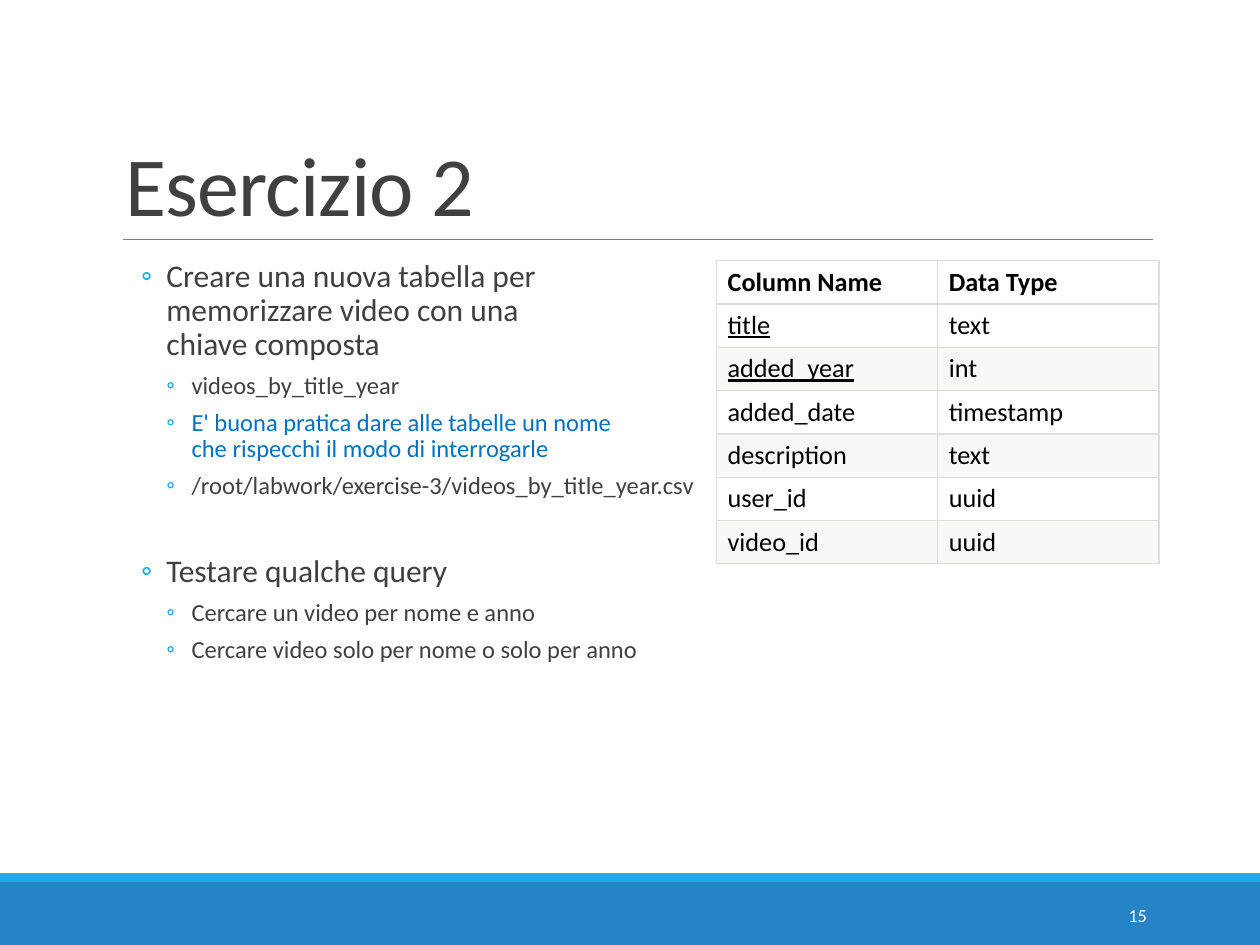
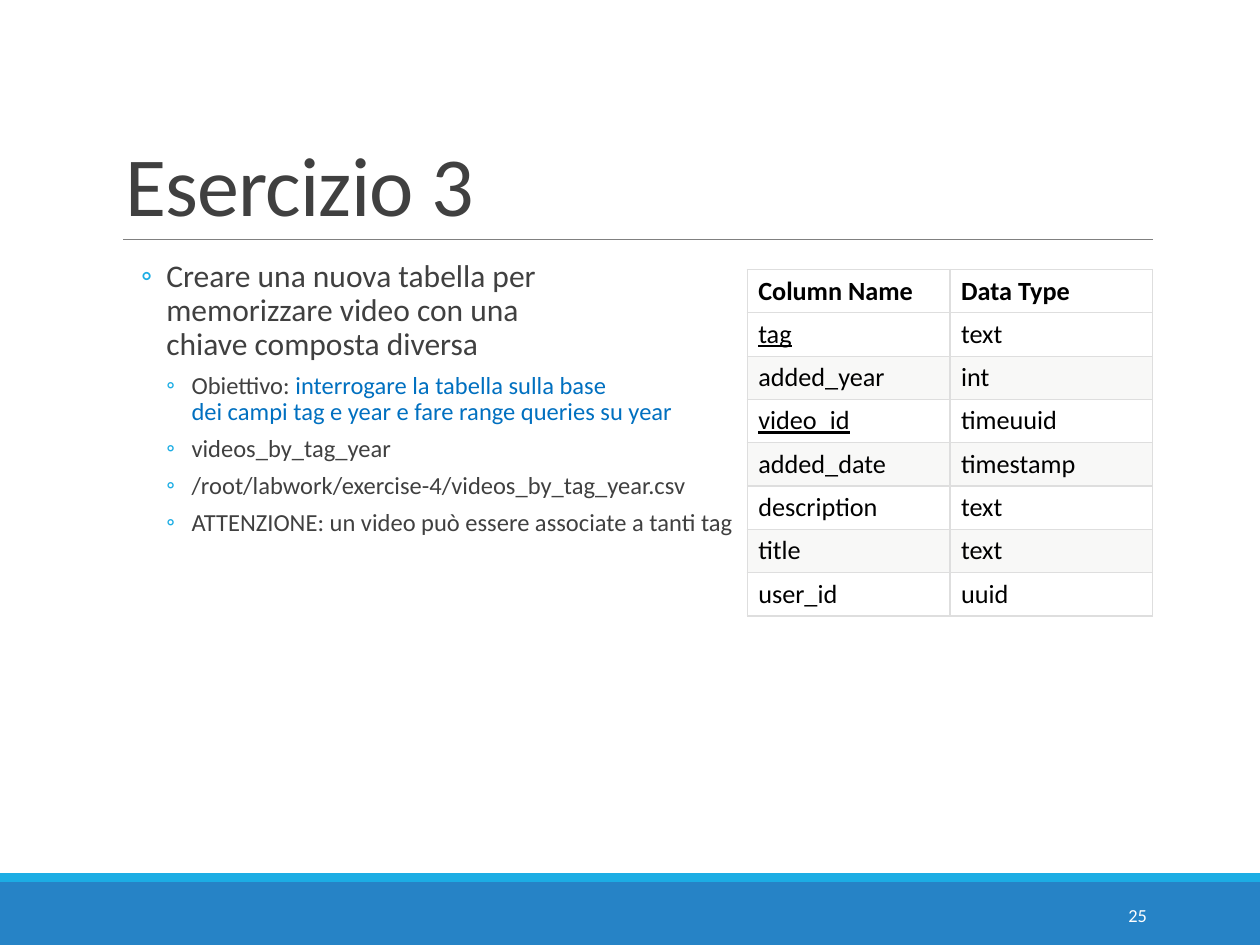
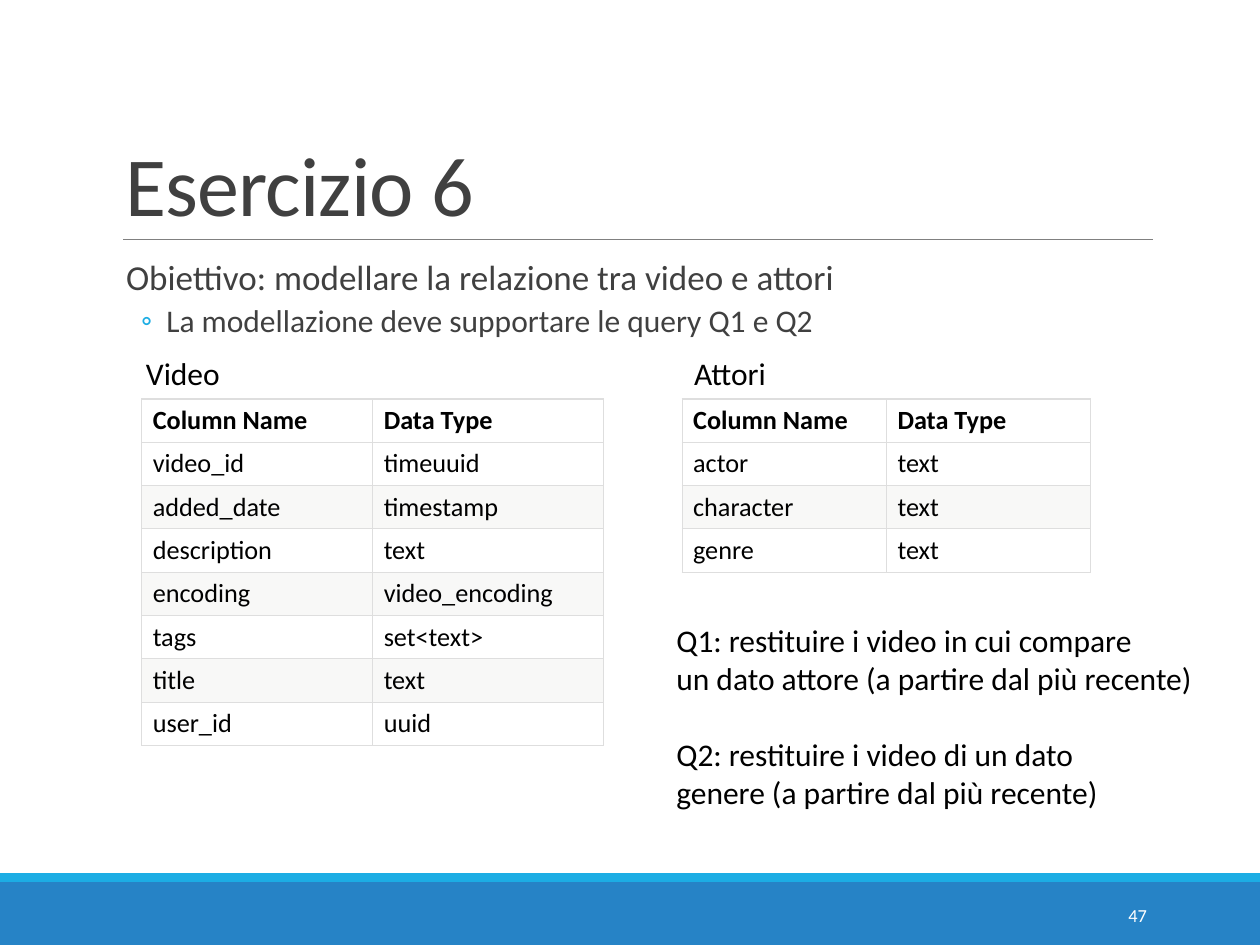
from dataclasses import dataclass
from typing import Any

from lxml import etree
from pptx import Presentation
from pptx.dml.color import RGBColor
from pptx.enum import shapes, text
from pptx.oxml import ns
from pptx.util import Pt

COLORS = {
    "band": "2683C6",
    "accent": "1CADE4",
    "rule": "808080",
    "heading": "404040",
    "highlight": "0070C0",
    "ink": "000000",
    "white": "FFFFFF",
    "stripe": "F8F8F7",
    "border": "DEDEDE",
}
FONT = "Calibri"
ROW_HEIGHT = 24.75
HEADER = ("Column Name", "Data Type")


@dataclass(frozen=True)
class Frame:
    left: float
    top: float
    width: float
    height: float

    def lengths(self) -> tuple:
        return Pt(self.left), Pt(self.top), Pt(self.width), Pt(self.height)


@dataclass(frozen=True)
class Style:
    size: float
    color: str = "ink"
    line_spacing: float = 1.0
    before: float = 0
    after: float = 0
    margin: float = 0
    hanging: float = 0
    align: Any = text.PP_ALIGN.LEFT
    tracking: int = 0


@dataclass(frozen=True)
class Span:
    text: str
    color: str = ""


@dataclass(frozen=True)
class Para:
    style: Style
    spans: tuple[Span, ...]
    before: float | None = None


@dataclass(frozen=True)
class Schema:
    left: float
    top: float
    width: float
    rows: tuple[tuple[str, str], ...]
    keys: tuple[str, ...] = ()


@dataclass(frozen=True)
class Label:
    frame: Frame
    paras: tuple[Para, ...]


@dataclass(frozen=True)
class Exercise:
    title: str
    number: int
    body: tuple[Para, ...]
    schemas: tuple[Schema, ...]
    labels: tuple[Label, ...] = ()


TITLE = Style(48, "heading", 0.85, tracking=-50)
GOAL = Style(20, "heading", 0.9, 12, 2, 7.2)
TASK = Style(18, "heading", 0.9, 2, 4, 30.25, 14.4)
DETAIL = Style(14, "heading", 0.9, 2, 4, 44.65, 14.4)
CAPTION = Style(18)
PAGE_NUMBER = Style(10.5, "white", align=text.PP_ALIGN.RIGHT)

TITLE_FRAME = Frame(64.8, 22.3, 594, 114.5)
BODY_FRAME = Frame(64.8, 145.4, 594, 316.8)
NUMBER_FRAME = Frame(584.6, 508.3, 77.8, 28.8)
BANDS = ((Frame(0, 504, 720, 36), "band"), (Frame(0, 499, 720, 5), "accent"))

BODY_FORMAT = {"margin_left": 0, "margin_right": 0}
BOTTOM = {"vertical_anchor": text.MSO_ANCHOR.BOTTOM}
MIDDLE = {"vertical_anchor": text.MSO_ANCHOR.MIDDLE}
UNWRAPPED = {"word_wrap": False}
CELL_FORMAT = {
    "margin_left": Pt(6.3),
    "margin_right": Pt(6.3),
    "margin_top": Pt(3.15),
    "margin_bottom": Pt(3.15),
}


def line(style: Style, words: str, color: str = "", before: float | None = None) -> Para:
    return Para(style, (Span(words, color),), before)


EXERCISES = (
    Exercise(
        "Esercizio 2",
        15,
        (
            line(TASK, "Creare una nuova tabella per\nmemorizzare video con una\nchiave composta"),
            line(DETAIL, "videos_by_title_year"),
            line(
                DETAIL,
                "E' buona pratica dare alle tabelle un nome\nche rispecchi il modo di interrogarle",
                "highlight",
            ),
            line(DETAIL, "/root/labwork/exercise-3/videos_by_title_year.csv"),
            line(TASK, "Testare qualche query", before=27.75),
            line(DETAIL, "Cercare un video per nome e anno"),
            line(DETAIL, "Cercare video solo per nome o solo per anno"),
        ),
        (
            Schema(
                409.5, 149, 252.8,
                (
                    ("title", "text"),
                    ("added_year", "int"),
                    ("added_date", "timestamp"),
                    ("description", "text"),
                    ("user_id", "uuid"),
                    ("video_id", "uuid"),
                ),
                ("title", "added_year"),
            ),
        ),
    ),
    Exercise(
        "Esercizio 3",
        25,
        (
            line(
                TASK,
                "Creare una nuova tabella per\nmemorizzare video con una\nchiave composta diversa",
            ),
            Para(
                DETAIL,
                (
                    Span("Obiettivo: "),
                    Span(
                        "interrogare la tabella sulla base\n"
                        "dei campi tag e year e fare range queries su year",
                        "highlight",
                    ),
                ),
            ),
            line(DETAIL, "videos_by_tag_year"),
            line(DETAIL, "/root/labwork/exercise-4/videos_by_tag_year.csv"),
            line(DETAIL, "ATTENZIONE: un video può essere associate a tanti tag"),
        ),
        (
            Schema(
                427, 154, 231.8,
                (
                    ("tag", "text"),
                    ("added_year", "int"),
                    ("video_id", "timeuuid"),
                    ("added_date", "timestamp"),
                    ("description", "text"),
                    ("title", "text"),
                    ("user_id", "uuid"),
                ),
                ("tag", "video_id"),
            ),
        ),
    ),
    Exercise(
        "Esercizio 6",
        47,
        (
            line(GOAL, "Obiettivo: modellare la relazione tra video e attori"),
            line(TASK, "La modellazione deve supportare le query Q1 e Q2"),
        ),
        (
            Schema(
                81, 228, 264,
                (
                    ("video_id", "timeuuid"),
                    ("added_date", "timestamp"),
                    ("description", "text"),
                    ("encoding", "video_encoding"),
                    ("tags", "set<text>"),
                    ("title", "text"),
                    ("user_id", "uuid"),
                ),
            ),
            Schema(
                389.8, 228, 233.6,
                (("actor", "text"), ("character", "text"), ("genre", "text")),
            ),
        ),
        (
            Label(Frame(76.3, 198.7, 57.6, 29), (line(CAPTION, "Video"),)),
            Label(Frame(389.5, 198.7, 56.2, 29), (line(CAPTION, "Attori"),)),
            Label(
                Frame(379.4, 351.4, 313.2, 116.6),
                (
                    line(
                        CAPTION,
                        "Q1: restituire i video in cui compare\n"
                        "un dato attore (a partire dal più recente)",
                    ),
                    line(
                        CAPTION,
                        "Q2: restituire i video di un dato\ngenere (a partire dal più recente)",
                        before=22,
                    ),
                ),
            ),
        ),
    ),
)


def rgb(name: str) -> RGBColor:
    return RGBColor.from_string(COLORS[name])


def set_values(target: Any, values: dict[str, Any]) -> None:
    for name, value in values.items():
        setattr(target, name, value)


def add_element(parent: Any, tag: str, **attributes: str) -> Any:
    return etree.SubElement(parent, ns.qn(tag), attributes)


def add_color(parent: Any, name: str) -> None:
    add_element(add_element(parent, "a:solidFill"), "a:srgbClr", val=COLORS[name])


def add_bullet(properties: Any) -> None:
    add_element(add_element(properties, "a:buClr"), "a:srgbClr", val=COLORS["accent"])
    add_element(properties, "a:buFont", typeface=FONT)
    add_element(properties, "a:buChar", char="◦")


def add_span(para: Any, span: Span, style: Style) -> None:
    for index, words in enumerate(span.text.split("\n")):
        if index:
            para.add_line_break()
        run = para.add_run()
        run.text = words
        set_values(run.font, {"name": FONT, "size": Pt(style.size)})
        run.font.color.rgb = rgb(span.color or style.color)
        if style.tracking:
            run.font._element.set("spc", str(style.tracking))


def add_text(page: Any, frame: Frame, paras: tuple[Para, ...], values: dict[str, Any]) -> None:
    box = page.shapes.add_textbox(*frame.lengths())
    set_values(box.text_frame, {"word_wrap": True} | values)
    for index, item in enumerate(paras):
        style = item.style
        para = box.text_frame.add_paragraph() if index else box.text_frame.paragraphs[0]
        before = style.before if item.before is None else item.before
        set_values(
            para,
            {
                "alignment": style.align,
                "line_spacing": style.line_spacing,
                "space_before": Pt(before if index else 0),
                "space_after": Pt(style.after),
            },
        )
        properties = para._p.get_or_add_pPr()
        properties.set("marL", str(Pt(style.margin)))
        properties.set("indent", str(-Pt(style.hanging)))
        if style.hanging:
            add_bullet(properties)
        for span in item.spans:
            add_span(para, span, style)


def format_cell(cell: Any, words: str, fill: str, bold: bool, underline: bool) -> None:
    set_values(cell, CELL_FORMAT)
    properties = cell._tc.get_or_add_tcPr()
    for side in ("a:lnL", "a:lnR", "a:lnT", "a:lnB"):
        add_color(add_element(properties, side, w=str(Pt(0.75))), "border")
    cell.fill.solid()
    cell.fill.fore_color.rgb = rgb(fill)
    run = cell.text_frame.paragraphs[0].add_run()
    run.text = words
    set_values(
        run.font,
        {"name": FONT, "size": Pt(15), "bold": bold, "underline": underline},
    )
    run.font.color.rgb = rgb("ink")


def add_schema(page: Any, schema: Schema) -> None:
    rows = (HEADER, *schema.rows)
    frame = Frame(schema.left, schema.top, schema.width, ROW_HEIGHT * len(rows))
    table = page.shapes.add_table(len(rows), len(HEADER), *frame.lengths()).table
    set_values(table, {"first_row": False, "horz_banding": False})
    for row_index, row in enumerate(rows):
        table.rows[row_index].height = Pt(ROW_HEIGHT)
        fill = "stripe" if row_index and row_index % 2 == 0 else "white"
        for column, words in enumerate(row):
            is_key = column == 0 and words in schema.keys
            format_cell(table.cell(row_index, column), words, fill, row_index == 0, is_key)


def add_background(page: Any) -> None:
    for frame, color in BANDS:
        band = page.shapes.add_shape(shapes.MSO_SHAPE.RECTANGLE, *frame.lengths())
        band.shadow.inherit = False
        band.fill.solid()
        band.fill.fore_color.rgb = rgb(color)
        band.line.fill.background()
    rule = page.shapes.add_connector(
        shapes.MSO_CONNECTOR.STRAIGHT, Pt(70.5), Pt(136.8), Pt(658.8), Pt(136.8)
    )
    rule.line.color.rgb = rgb("rule")
    rule.line.width = Pt(0.5)
    add_element(rule._element.spPr, "a:effectLst")


def add_exercise(deck: Any, exercise: Exercise) -> None:
    page = deck.slides.add_slide(deck.slide_layouts[6])
    add_background(page)
    add_text(page, TITLE_FRAME, (line(TITLE, exercise.title),), BOTTOM)
    add_text(page, BODY_FRAME, exercise.body, BODY_FORMAT)
    add_text(page, NUMBER_FRAME, (line(PAGE_NUMBER, str(exercise.number)),), MIDDLE)
    for schema in exercise.schemas:
        add_schema(page, schema)
    for label in exercise.labels:
        add_text(page, label.frame, label.paras, UNWRAPPED)


def main() -> None:
    deck = Presentation()
    set_values(deck, {"slide_width": Pt(720), "slide_height": Pt(540)})
    for exercise in EXERCISES:
        add_exercise(deck, exercise)
    deck.save("out.pptx")


if __name__ == "__main__":
    main()
